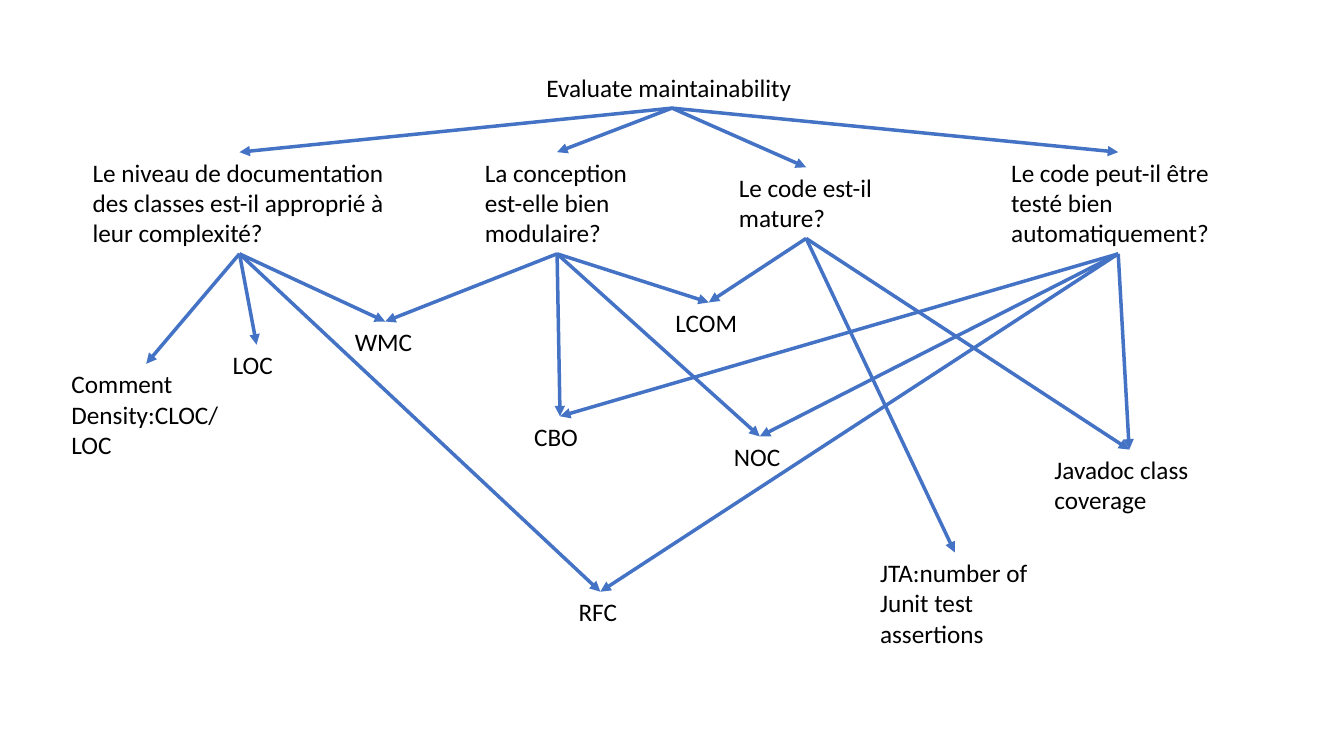
from lxml import etree
from pptx import Presentation
from pptx import util as u
from pptx.dml.color import RGBColor
from pptx.enum import shapes, text
from pptx.oxml import ns

BLACK = RGBColor(0x00, 0x00, 0x00)
ARROW_BLUE = RGBColor(0x44, 0x72, 0xC4)
SLIDE_WIDTH, SLIDE_HEIGHT = u.Inches(13.33), u.Inches(7.5)

# Label heights, in percent of the slide height
LABEL_PADDING, LINE_HEIGHT = 1.33, 4.04

# Connection sites of a label
TOP, BOTTOM = 0, 2

# Name: (wording, centre, top, width, lines of text); places in percent of the slide
GOAL = {"goal": ("Evaluate maintainability", 50, 8.93, 20.18, 1)}
QUESTIONS = {
    "documentation": ("Le niveau de documentation des classes est-il approprié à "
                      "leur complexité?", 17.82, 20.13, 23.33, 3),
    "modularity": ("La conception est-elle bien modulaire?", 41.45, 20.13, 12.23, 3),
    "maturity": ("Le code est-il mature?", 59.98, 22.13, 11.48, 2),
    "testability": ("Le code peut-il être testé bien automatiquement?",
                    83.2, 20.13, 17.4, 3),
}
METRICS = {
    "LOC": ("LOC", 19.09, 45.6, 5.03, 1),
    "JTA": ("JTA:number of Junit test assertions", 71.04, 73.07, 12.6, 3),
    "WMC": ("WMC", 28.66, 42.53, 6, 1),
    "density": ("Comment Density:CLOC/LOC", 10.88, 48.13, 12.6, 3),
    "CBO": ("CBO", 41.67, 55.07, 5.33, 1),
    "LCOM": ("LCOM", 52.74, 40, 6.45, 1),
    "javadoc": ("Javadoc class coverage", 84.02, 59.47, 12.6, 2),
    "NOC": ("NOC", 56.53, 57.73, 5.33, 1),
    "RFC": ("RFC", 44.67, 78.27, 4.73, 1),
}

# Which items each item is broken down into
BREAKDOWN = {
    "goal": list(QUESTIONS),
    "documentation": ["density", "LOC", "WMC", "RFC"],
    "modularity": ["WMC", "CBO", "LCOM", "NOC"],
    "maturity": ["LCOM", "JTA", "javadoc"],
    "testability": ["CBO", "NOC", "RFC", "javadoc"],
}


def across(percent):
    return round(SLIDE_WIDTH * percent / 100)


def down(percent):
    return round(SLIDE_HEIGHT * percent / 100)


def add_label(slide, wording, centre, top, width, lines):
    label = slide.shapes.add_textbox(
        across(centre - width / 2), down(top),
        across(width), down(LABEL_PADDING + lines * LINE_HEIGHT))
    frame = label.text_frame
    frame.word_wrap = True
    frame.auto_size = text.MSO_AUTO_SIZE.SHAPE_TO_FIT_TEXT
    frame.text = wording
    font = frame.paragraphs[0].font
    font.name, font.size = "Calibri", u.Pt(18)
    font.color.rgb = BLACK
    return label


def add_arrow(slide, parent, child):
    arrow = slide.shapes.add_connector(shapes.MSO_CONNECTOR.STRAIGHT, 0, 0, 0, 0)
    arrow.begin_connect(parent, BOTTOM)
    arrow.end_connect(child, TOP)
    arrow.line.color.rgb = ARROW_BLUE
    arrow.line.width = u.Pt(2.5)
    # Arrowhead at the child, and no shadow
    etree.SubElement(arrow.line._get_or_add_ln(), ns.qn("a:tailEnd"), type="triangle")
    etree.SubElement(arrow._element.spPr, ns.qn("a:effectLst"))


def main():
    deck = Presentation()
    deck.slide_width, deck.slide_height = SLIDE_WIDTH, SLIDE_HEIGHT
    slide = deck.slides.add_slide(deck.slide_layouts[6])

    # Goal, questions and metrics
    items = {**GOAL, **QUESTIONS, **METRICS}
    labels = {name: add_label(slide, *item) for name, item in items.items()}

    # Arrows from each item to its parts
    for parent, children in BREAKDOWN.items():
        for child in children:
            add_arrow(slide, labels[parent], labels[child])

    deck.save("out.pptx")


if __name__ == "__main__":
    main()
